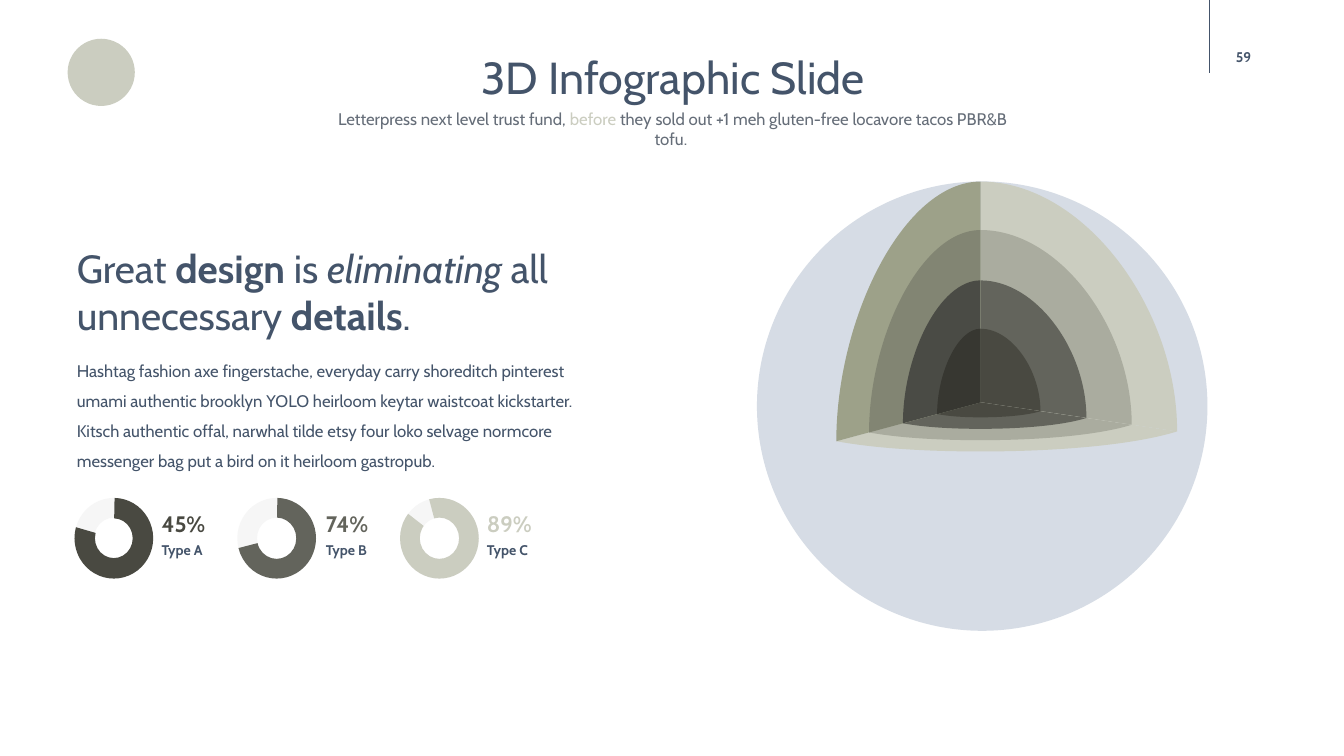
from pptx import Presentation
from pptx.dml.color import RGBColor
from pptx.enum.shapes import MSO_CONNECTOR, MSO_SHAPE
from pptx.enum.text import MSO_ANCHOR, MSO_AUTO_SIZE, PP_ALIGN
from pptx.oxml.ns import qn
from pptx.util import Pt
from lxml import etree

# Content: runs are (text, format) pairs
FONT = "Cabin"
NAVY, GREY, SAGE, PALE = "44546A", "656D78", "CBCDC0", "F6F6F6"
INSET = (7.2, 3.6, 7.2, 3.6)
FLUSH = (0, 0, 0, 0)
GROW = MSO_AUTO_SIZE.SHAPE_TO_FIT_TEXT

TEXTS = [
    dict(box=(859.5, 26.3, 57.6, 28.8), size=10, align=PP_ALIGN.CENTER,
         anchor=MSO_ANCHOR.MIDDLE, inset=FLUSH, runs=[("59", {"bold": True})]),
    dict(box=(183.4, 32, 594.7, 46.1), size=32, align=PP_ALIGN.CENTER, fit=GROW,
         runs=[("3D Infographic Slide", {})]),
    dict(box=(230.4, 74.2, 500.4, 21.6), size=12, color=GREY, align=PP_ALIGN.CENTER,
         runs=[("Letterpress next level trust fund, ", {}),
               ("before", {"color": SAGE}),
               (" they sold out +1 meh gluten-free locavore tacos PBR&B tofu. ", {})]),
    dict(box=(47.8, 171, 393.1, 74.9), size=28, fit=GROW,
         runs=[("Great ", {}), ("design", {"bold": True}), (" is ", {}),
               ("eliminating", {"italic": True}), (" all unnecessary ", {}),
               ("details", {"bold": True}), (".", {})]),
    dict(box=(47.8, 246.7, 383, 94.3), size=12, spacing=1.5, fit=GROW,
         runs=[("Hashtag fashion axe fingerstache, everyday carry shoreditch pinterest "
                "umami authentic brooklyn YOLO heirloom keytar waistcoat kickstarter. "
                "Kitsch authentic offal, narwhal tilde etsy four loko selvage normcore "
                "messenger bag put a bird on it heirloom gastropub.", {})]),
]

# value, label, label left, colour, arc start and end in degrees, ring thickness
RINGS = [
    ("45%", "Type A", 115.4, "494941", 271.06, 196.24, 0.26),
    ("74%", "Type B", 232.7, "63645C", 271.06, 165.61, 0.25),
    ("89%", "Type C", 347.8, SAGE, 255.23, 217.98, 0.25),
]
RING_LEFT, RING_TOP, RING_PITCH = 53.2, 355.7, 116.3
RING_WIDTH, RING_HEIGHT = 56.2, 57.6

# reach right, reach left, rise, wall and floor colour, shaded wall colour
LAYERS = [
    (140.4, 103, 157.7, "CBCDC0", "9DA189"),
    (108, 79.6, 123.1, "AAAC9F", "828573"),
    (75.6, 55.4, 87.1, "63645C", "4A4B45"),
    (42.8, 31, 52.6, "494941", "373731"),
]
CORE_X, CORE_Y = 700.4, 287.4
RIGHT_SLOPE, LEFT_SLOPE, FLOOR_DEPTH = 0.148, 0.27, 0.25

presentation = Presentation()
presentation.slide_width, presentation.slide_height = Pt(960), Pt(540)
slide = presentation.slides.add_slide(presentation.slide_layouts[6])


def rgb(value):
    return RGBColor.from_string(value)


def paint(shape, color):
    shape.shadow.inherit = False
    shape.fill.solid()
    shape.fill.fore_color.rgb = rgb(color)
    shape.line.fill.background()


def add_preset(kind, box, color, adjustments=()):
    shape = slide.shapes.add_shape(kind, *map(Pt, box))
    for index, value in enumerate(adjustments):
        shape.adjustments[index] = value
    paint(shape, color)


def add_text(box, runs, size, color=NAVY, align=PP_ALIGN.LEFT, anchor=MSO_ANCHOR.TOP,
             inset=INSET, spacing=None, fit=MSO_AUTO_SIZE.NONE):
    frame = slide.shapes.add_textbox(*map(Pt, box)).text_frame
    frame.word_wrap, frame.vertical_anchor, frame.auto_size = True, anchor, fit
    for side, margin in zip(("left", "top", "right", "bottom"), inset):
        setattr(frame, f"margin_{side}", Pt(margin))
    paragraph = frame.paragraphs[0]
    paragraph.alignment = align
    if spacing:
        paragraph.line_spacing = spacing
    for text, extra in runs:
        run = paragraph.add_run()
        run.text = text
        formats = {"name": FONT, "size": Pt(size), "color": color, **extra}
        run.font.color.rgb = rgb(formats.pop("color"))
        for name, value in formats.items():
            setattr(run.font, name, value)


def add_wedge(points, color):
    """Draw cubic curves (start, then control, control, end), closed through the core."""
    start, *rest = [(Pt(CORE_X + x), Pt(CORE_Y + y)) for x, y in points + [(0, 0)]]
    builder = slide.shapes.build_freeform(*start, scale=1.0)
    builder.add_line_segments(rest, close=True)
    shape = builder.convert_to_shape()
    # Join each three points, all but the core, into one Bezier segment
    lines = list(shape._element.iter(qn("a:lnTo")))[:-1]
    for first in range(0, len(lines), 3):
        bezier = etree.Element(qn("a:cubicBezTo"))
        lines[first].addprevious(bezier)
        for line in lines[first:first + 3]:
            bezier.append(line[0])
            line.getparent().remove(line)
    paint(shape, color)


# Header: emblem, rule and texts
add_preset(MSO_SHAPE.OVAL, (48.3, 27.7, 48, 48), SAGE)
rule = slide.shapes.add_connector(MSO_CONNECTOR.STRAIGHT, Pt(864), Pt(0), Pt(864), Pt(52.4))
rule.line.color.rgb, rule.line.width = rgb(NAVY), Pt(1)
etree.SubElement(rule._element.spPr, qn("a:effectLst"))
for text in TEXTS:
    add_text(**text)

# Sphere with its cut-out: lit walls, then floors, then shaded walls
add_preset(MSO_SHAPE.OVAL, (540.7, 129.6, 321.8, 321), "D6DCE5")
lit_walls, floors, shaded_walls = [], [], []
for right, left, rise, color, shade in LAYERS:
    right_y, left_y, depth = right * RIGHT_SLOPE, left * LEFT_SLOPE, right * FLOOR_DEPTH
    right_tip, left_tip, top, bottom = (right, right_y), (-left, left_y), (0, -rise), (0, depth)
    lit_walls.append(([right_tip, (right, right_y - 0.5 * (rise + right_y)),
                       (0.52 * right, -rise), top], color))
    floors.append(([right_tip, (0.8 * right, right_y + 0.62 * (depth - right_y)),
                    (0.43 * right, depth), bottom, (-0.38 * left, depth),
                    (-0.73 * left, depth - 0.3 * (depth - left_y)), left_tip], color))
    shaded_walls.append(([top, (-0.53 * left, -rise),
                          (-left, left_y - 0.475 * (rise + left_y)), left_tip], shade))
for outline, color in lit_walls + floors + shaded_walls:
    add_wedge(outline, color)

# Percentage rings with labels
for index, (value, label, label_left, color, start, end, thickness) in enumerate(RINGS):
    box = (RING_LEFT + index * RING_PITCH, RING_TOP, RING_WIDTH, RING_HEIGHT)
    add_preset(MSO_SHAPE.DONUT, box, PALE)
    # Angles are stored in 60000ths of a degree, adjustments in 100000ths
    add_preset(MSO_SHAPE.BLOCK_ARC, box, color, (start * 0.6, end * 0.6, thickness))
    for text, offset, height, size, text_color in (
            (value, 10.8, 20.9, 16, color), (label, 32.4, 16.6, 10, NAVY)):
        add_text((label_left, RING_TOP + offset, 35.3, height), [(text, {"bold": True})],
                 size, text_color, inset=FLUSH, spacing=0.9)

presentation.save("out.pptx")
